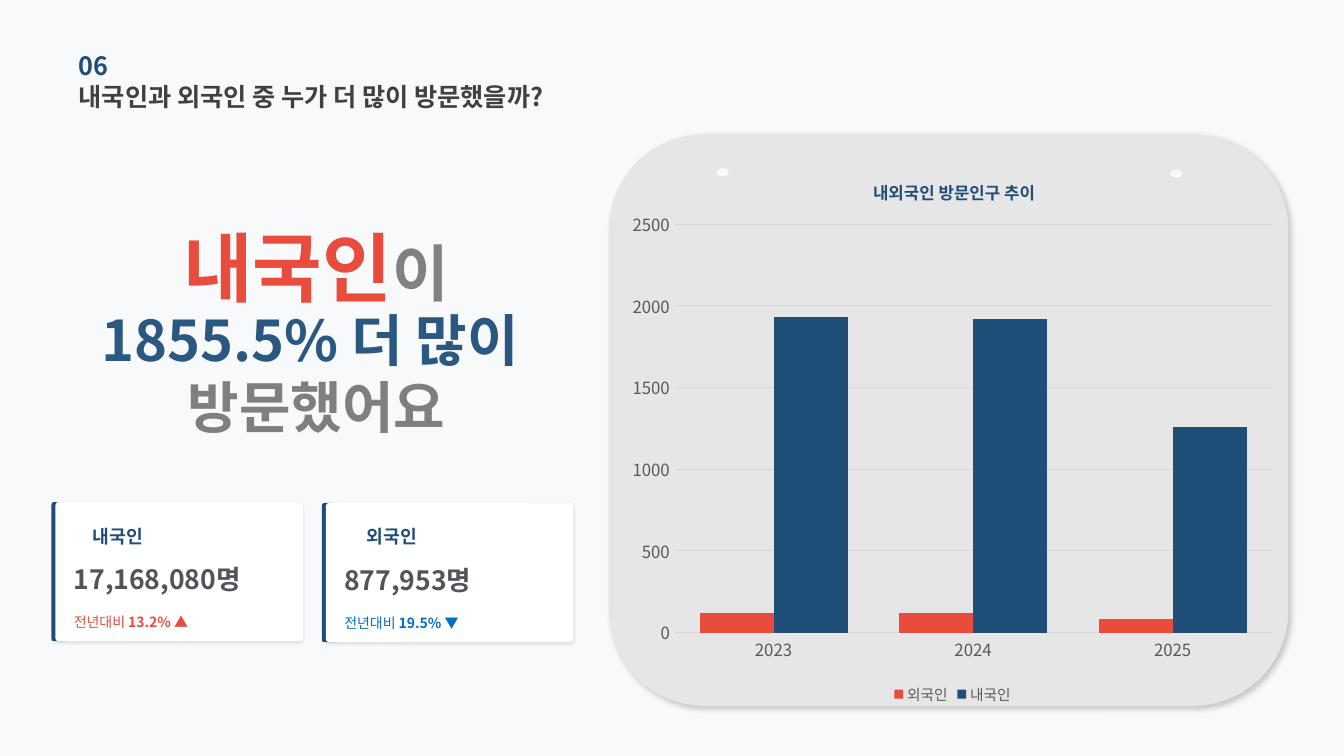
"""Build the slide comparing domestic and foreign visitors."""
import pptx
import pptx.chart.data
import pptx.dml.color
import pptx.enum.chart
import pptx.enum.shapes
import pptx.enum.text
import pptx.oxml
import pptx.oxml.ns
import pptx.util

Pt = pptx.util.Pt
qn = pptx.oxml.ns.qn
SHAPE = pptx.enum.shapes.MSO_SHAPE
ALIGN = pptx.enum.text.PP_ALIGN
FONT = "Noto Sans CJK KR"
COLORS = {
    "back": "F8F9FA", "navy": "1F4E79", "blue": "2B5880", "red": "E74C3C",
    "panel": "E7E6E6", "white": "FFFFFF", "title": "404040", "gray": "808080",
    "soft": "7F7F7F", "count": "51545A", "down": "0070C0",
    "label": "595959", "grid": "D9D9D9",
}


class Slide:
    """Hold the style and the current slide."""

    def __init__(self, prs):
        self.s = prs.slides.add_slide(prs.slide_layouts[6])
        self.paint(self.s.background.fill, "back")

    def rgb(self, color):
        return pptx.dml.color.RGBColor.from_string(COLORS[color])

    def paint(self, fill, color):
        fill.solid()
        fill.fore_color.rgb = self.rgb(color)

    def font(self, font, size, color, bold=False):
        font.size, font.bold, font.name = Pt(size), bold, FONT
        font.color.rgb = self.rgb(color)
        ea = font._element.makeelement(qn("a:ea"), {"typeface": FONT})
        font._element.find(qn("a:latin")).addnext(ea)

    def shape(self, kind, x, y, w, h, color, adj=None, shadow=None):
        sp = self.s.shapes.add_shape(kind, Pt(x), Pt(y), Pt(w), Pt(h))
        self.paint(sp.fill, color)
        sp.line.fill.background()
        sp.shadow.inherit = False
        if adj is not None:
            sp.adjustments[0] = adj
        if shadow:
            alpha, blur, dist, angle = shadow
            sp._element.spPr.find(qn("a:effectLst")).append(pptx.oxml.parse_xml(
                '<a:outerShdw xmlns:a="http://schemas.openxmlformats.org/drawingml/2006/main"'
                f' blurRad="{Pt(blur)}" dist="{Pt(dist)}" dir="{angle * 60000}"'
                ' algn="tl" rotWithShape="0"><a:srgbClr val="000000">'
                f'<a:alpha val="{alpha * 1000}"/></a:srgbClr></a:outerShdw>'))

    def text(self, x, y, w, h, *paragraphs, align=ALIGN.LEFT):
        tf = self.s.shapes.add_textbox(Pt(x), Pt(y), Pt(w), Pt(h)).text_frame
        tf.word_wrap = True
        tf.vertical_anchor = pptx.enum.text.MSO_ANCHOR.MIDDLE
        tf.margin_left = tf.margin_right = tf.margin_top = tf.margin_bottom = 0
        for i, runs in enumerate(paragraphs):
            p = tf.add_paragraph() if i else tf.paragraphs[0]
            p.alignment = align
            for words, size, color, bold in runs:
                r = p.add_run()
                r.text = words
                self.font(r.font, size, color, bold)

    def card(self, x, y, label_x, label, count, change, color):
        self.shape(SHAPE.ROUNDED_RECTANGLE, x, y, 10.8, 99.4, "navy")
        self.shape(SHAPE.ROUNDED_RECTANGLE, x + 2.9, y, 176.8, 99.4, "white",
                   0.023, (10, 2, 1, 90))
        self.text(label_x, 373, 47, 20, [(label, 13, "navy", True)])
        self.text(x + 16, y + 41, 182, 28, [(count, 19, "count", True)])
        self.text(x + 16, y + 69.5, 182, 32.4,
                  [("전년대비 ", 10, color, False), (change, 10, color, True)])

    def layout(self, x, y, w=None, h=None):
        modes = '<c:xMode val="edge"/><c:yMode val="edge"/>'
        size = f'<c:w val="{w}"/><c:h val="{h}"/>' if w else ""
        target = '<c:layoutTarget val="inner"/>' if w else ""
        return pptx.oxml.parse_xml(
            '<c:layout xmlns:c="http://schemas.openxmlformats.org/drawingml/2006/chart">'
            f'<c:manualLayout>{target}{modes}<c:x val="{x}"/><c:y val="{y}"/>{size}'
            '</c:manualLayout></c:layout>')

    def chart(self, x, y, w, h, title, cats, series):
        data = pptx.chart.data.CategoryChartData()
        data.categories = cats
        for name, values, _ in series:
            data.add_series(name, values)
        enum = pptx.enum.chart
        chart = self.s.shapes.add_chart(
            enum.XL_CHART_TYPE.COLUMN_CLUSTERED, Pt(x), Pt(y), Pt(w), Pt(h), data).chart
        chart.font.size, chart.font.name = Pt(10), "Calibri"

        chart.has_title = True
        r = chart.chart_title.text_frame.paragraphs[0].add_run()
        r.text = title
        self.font(r.font, 12, "navy", True)
        heading = chart.chart_title._element
        plot_area = chart._chartSpace.find(".//" + qn("c:plotArea"))
        for parent in (heading, plot_area):
            for old in parent.findall(qn("c:layout")):
                parent.remove(old)
        heading.find(qn("c:tx")).addnext(self.layout(0.376, 0.045))
        plot_area.insert(0, self.layout(0.081, 0.134, 0.9, 0.73))

        chart.has_legend = True
        chart.legend.position = enum.XL_LEGEND_POSITION.BOTTOM
        chart.legend.include_in_layout = False
        self.font(chart.legend.font, 10.5, "label")
        plot = chart.plots[0]
        plot.gap_width, plot.overlap, plot.vary_by_categories = 70, 0, False
        for ser, (_, _, color) in zip(plot.series, series):
            self.paint(ser.format.fill, color)

        cat, val = chart.category_axis, chart.value_axis
        for axis in (cat, val):
            axis.major_tick_mark = axis.minor_tick_mark = enum.XL_TICK_MARK.NONE
            self.font(axis.tick_labels.font, 12, "label")
        val.minimum_scale, val.maximum_scale, val.major_unit = 0, 2500, 500
        val.has_major_gridlines = True
        val.format.line.fill.background()
        for line in (cat.format.line, val.major_gridlines.format.line):
            line.width = Pt(0.75)
            line.color.rgb = self.rgb("grid")


def main():
    prs = pptx.Presentation()
    prs.slide_width, prs.slide_height = Pt(960), Pt(540)
    s = Slide(prs)
    s.shape(SHAPE.ROUNDED_RECTANGLE, 435, 96, 485.3, 408.2, "panel", shadow=(20, 4, 3, 45))
    s.text(56.2, 31.7, 325, 29.5, [("06", 18, "navy", True)])
    s.text(56.2, 54, 380, 29.5, [("내국인과 외국인 중 누가 더 많이 방문했을까?", 18, "title", True)])
    for x, y in ((512, 120.2), (836, 121)):
        s.shape(SHAPE.OVAL, x, y, 8.6, 5.8, "back")
    s.text(71.3, 172.8, 309, 34.6,
           [("내국인", 54, "red", True), ("이", 44, "gray", True)], align=ALIGN.CENTER)
    s.text(27.4, 236.2, 397.4, 60.5, [("1855.5% 더 많이 ", 40, "blue", True)],
           [("방문했어요", 40, "soft", True)], align=ALIGN.CENTER)
    s.card(36.7, 358.6, 66.2, "내국인", "17,168,080명", "13.2% ▲", "red")
    s.card(229.9, 359.3, 262, "외국인", "877,953명", "19.5% ▼", "down")
    s.chart(442.8, 106.6, 475.2, 399.6, "내외국인 방문인구 추이", ("2023", "2024", "2025"),
            (("외국인", (120, 120, 80), "red"), ("내국인", (1930, 1920, 1260), "navy")))
    prs.save("out.pptx")


if __name__ == "__main__":
    main()
